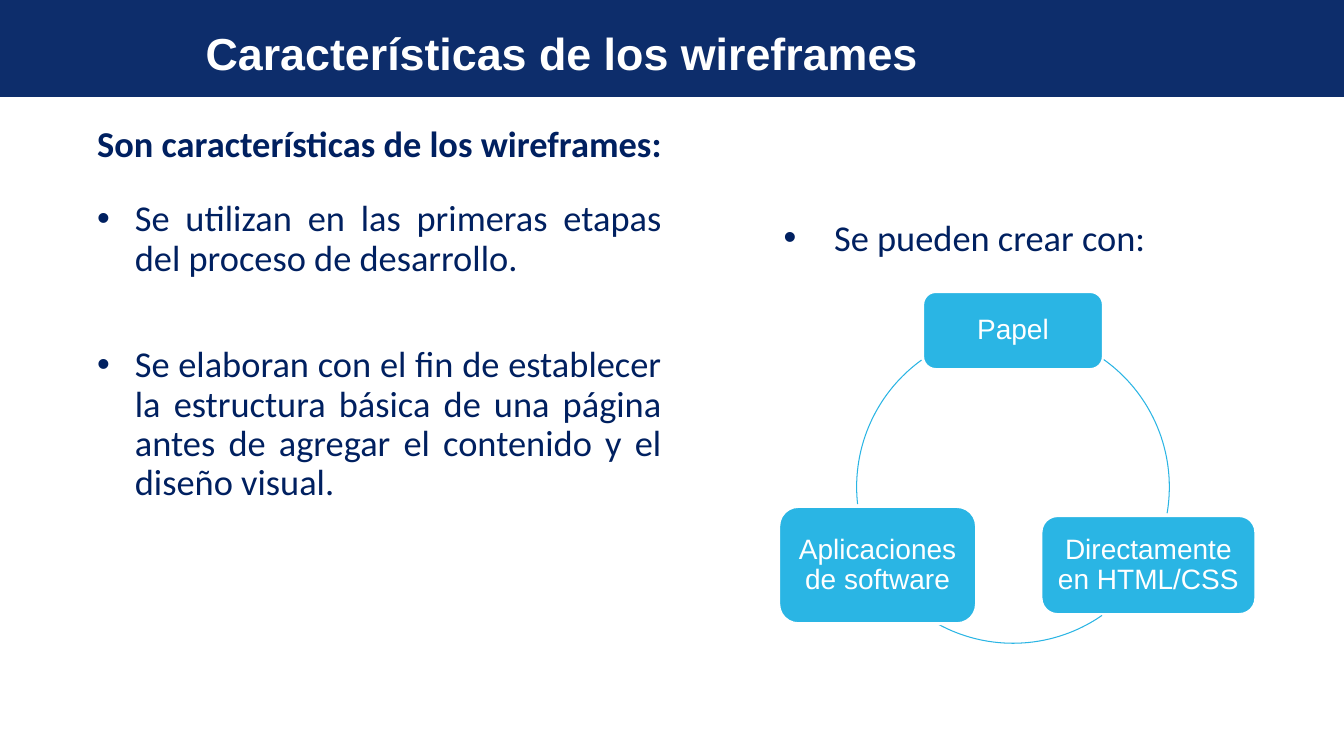
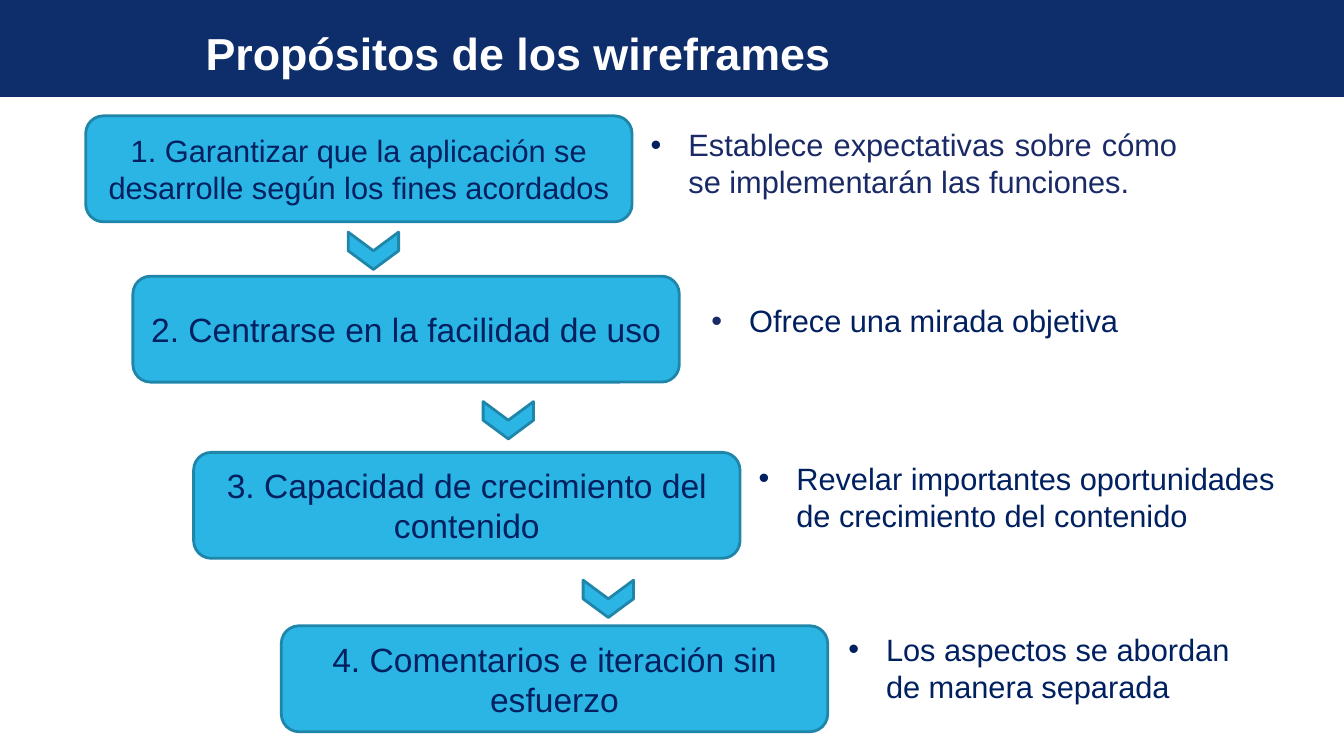
from math import cos, radians, sin

from lxml.etree import SubElement
from pptx import Presentation
from pptx.dml.color import RGBColor
from pptx.enum.shapes import MSO_SHAPE
from pptx.enum.text import MSO_ANCHOR, PP_ALIGN
from pptx.oxml.ns import qn
from pptx.util import Cm, Pt

COLORS = {
    "band": "0D2D6B",
    "navy": "002060",
    "indigo": "192A66",
    "node": "2AB5E4",
    "step": "2BB5E4",
    "edge": "2086A9",
    "white": "FFFFFF",
}
SLIDE_WIDTH, SLIDE_HEIGHT = 33.87, 19.05


def rgb(name):
    return RGBColor.from_string(COLORS[name])


def add_box(slide, kind, left, top, width, height, fill=None, line=None, weight=2):
    """Preset shape without shadow; lengths in centimetres."""
    shape = slide.shapes.add_shape(kind, Cm(left), Cm(top), Cm(width), Cm(height))
    shape.shadow.inherit = False
    if fill:
        shape.fill.solid()
        shape.fill.fore_color.rgb = rgb(fill)
    else:
        shape.fill.background()
    if line:
        shape.line.color.rgb = rgb(line)
        shape.line.width = Pt(weight)
    else:
        shape.line.fill.background()
    return shape


def write(shape, text, size, color, font="Arial", bold=False, align=None, spacing=None):
    """Fill a shape with text, one paragraph per line."""
    frame = shape.text_frame
    frame.word_wrap = True
    frame.text = text
    for paragraph in frame.paragraphs:
        paragraph.alignment = align
        paragraph.line_spacing = spacing
        for run in paragraph.runs:
            run.font.name = font
            run.font.size = Pt(size)
            run.font.bold = bold
            run.font.color.rgb = rgb(color)
    return frame


def add_text(slide, box, text, size, color, **style):
    shape = slide.shapes.add_textbox(*(Cm(length) for length in box))
    return write(shape, text, size, color, **style)


def indent(frame, margin, first=0, bullet=None):
    """Set the indents and, given a bullet colour, the bullets."""
    for paragraph in frame.paragraphs:
        properties = paragraph._p.get_or_add_pPr()
        properties.set("marL", str(Cm(margin)))
        properties.set("indent", str(Cm(first)))
        if bullet:
            color = SubElement(properties, qn("a:buClr"))
            SubElement(color, qn("a:srgbClr"), val=COLORS[bullet])
            SubElement(properties, qn("a:buFont"), typeface="Arial")
            SubElement(properties, qn("a:buChar"), char="•")


def add_titled_slide(presentation, title):
    slide = presentation.slides.add_slide(presentation.slide_layouts[6])
    add_box(slide, MSO_SHAPE.RECTANGLE, 0, 0, SLIDE_WIDTH, 2.44, "band")
    frame = add_text(slide, (4.93, 0.38, 27.28, 2.06), title, 32, "white",
                     bold=True, spacing=0.9)
    frame.vertical_anchor = MSO_ANCHOR.MIDDLE
    return slide


def add_cycle(slide, center_x, center_y, radius):
    """Three nodes spread evenly on a circle, joined by arcs."""
    # Label, width, height, start and end angle of the arc that follows
    nodes = [
        ("Papel", 4.55, 1.96, 305.5, 9.7),
        ("Directamente en HTML/CSS", 5.41, 2.49, 55.3, 118.5),
        ("Aplicaciones de software", 4.98, 2.95, 173.7, 234.2),
    ]
    for index, (label, width, height, start, end) in enumerate(nodes):
        angle = radians(-90 + index * 360 / len(nodes))
        left = center_x + radius * cos(angle) - width / 2
        top = center_y + radius * sin(angle) - height / 2
        node = add_box(slide, MSO_SHAPE.ROUNDED_RECTANGLE, left, top, width, height,
                       "node", "white")
        frame = write(node, label, 20, "white", align=PP_ALIGN.CENTER, spacing=0.9)
        frame.margin_left = frame.margin_right = Cm(0.19)

        arc = add_box(slide, MSO_SHAPE.ARC, center_x - radius, center_y - radius,
                      2 * radius, 2 * radius, line="node", weight=0.75)
        # Angles are stored in 60000ths, adjustments in 100000ths
        for position, degrees in enumerate((start, end)):
            arc.adjustments[position] = degrees * 0.6


def add_features(slide, left, top):
    """Heading and justified bullets of the left column."""
    style = {"font": "Calibri", "spacing": 0.9}
    heading = add_text(slide, (left, top, 17.91, 1.24),
                       "Son características de los wireframes:", 26, "navy",
                       bold=True, **style)
    indent(heading, 0.32)
    features = [
        "Se utilizan en las primeras etapas del proceso de desarrollo.",
        "Se elaboran con el fin de establecer la estructura básica de una página "
        "antes de agregar el contenido y el diseño visual.",
    ]
    body = add_text(slide, (left, top + 1.88, 15.06, 9.17), "\n".join(features),
                    26, "navy", align=PP_ALIGN.JUSTIFY, **style)
    body.paragraphs[1].space_before = Pt(48)
    indent(body, 1.27, -0.95, "navy")


def add_tools(slide, left, top):
    """Bullet and cycle diagram of the right column."""
    frame = add_text(slide, (left, top, 11.46, 1.24), "Se pueden crear con:",
                     26, "navy", font="Calibri", spacing=0.9)
    indent(frame, 1.59, -1.27, "navy")
    add_cycle(slide, left + 6.35, top + 6.86, 3.94)


def add_step(slide, left, top, label, size, note):
    """Numbered box with its note on the right."""
    width, height = 13.77, 2.67
    step = add_box(slide, MSO_SHAPE.ROUNDED_RECTANGLE, left, top, width, height,
                   "step", "edge")
    write(step, label, size, "navy", align=PP_ALIGN.CENTER)

    text, gap, drop, note_width, color, bullet, align = note
    frame = add_text(slide, (left + width + gap, top + drop, note_width, 2.13),
                     text, 22, color, align=align)
    indent(frame, 0.95, -0.95, bullet)


def add_down_chevron(slide, center_x, center_y):
    width, height = 0.94, 1.27
    chevron = add_box(slide, MSO_SHAPE.CHEVRON, center_x - width / 2,
                      center_y - height / 2, width, height, "step", "edge")
    chevron.rotation = 90


def build_features_slide(presentation):
    slide = add_titled_slide(presentation, "Características de los wireframes")
    add_features(slide, 1.88, 3.05)
    add_tools(slide, 19.18, 5.41)


def build_purposes_slide(presentation):
    slide = add_titled_slide(presentation, "Propósitos de los wireframes")
    # Note: text, gap, drop, width, colour, bullet colour, alignment
    steps = [
        (2.16, 2.92, "1. Garantizar que la aplicación se desarrolle según los fines acordados",
         22, ("Establece expectativas sobre cómo se implementarán las funciones.",
              0.22, 0.13, 13.77, "indigo", "navy", PP_ALIGN.JUSTIFY)),
        (3.35, 6.96, "2. Centrarse en la facilidad de uso",
         24, ("Ofrece una mirada objetiva",
              0.56, 0.53, 12.27, "navy", "indigo", None)),
        (4.88, 11.4, "3. Capacidad de crecimiento del contenido",
         24, ("Revelar importantes oportunidades de crecimiento del contenido",
              0.22, 0.06, 13.77, "navy", "navy", None)),
        (7.09, 15.77, "4. Comentarios e iteración sin esfuerzo",
         24, ("Los aspectos se abordan de manera separada",
              0.27, 0, 10.34, "navy", "navy", None)),
    ]
    for step in steps:
        add_step(slide, *step)
    for center in ((9.41, 6.32), (12.81, 10.59), (15.33, 15.09)):
        add_down_chevron(slide, *center)


def main():
    presentation = Presentation()
    presentation.slide_width = Cm(SLIDE_WIDTH)
    presentation.slide_height = Cm(SLIDE_HEIGHT)
    build_features_slide(presentation)
    build_purposes_slide(presentation)
    presentation.save("out.pptx")


if __name__ == "__main__":
    main()
